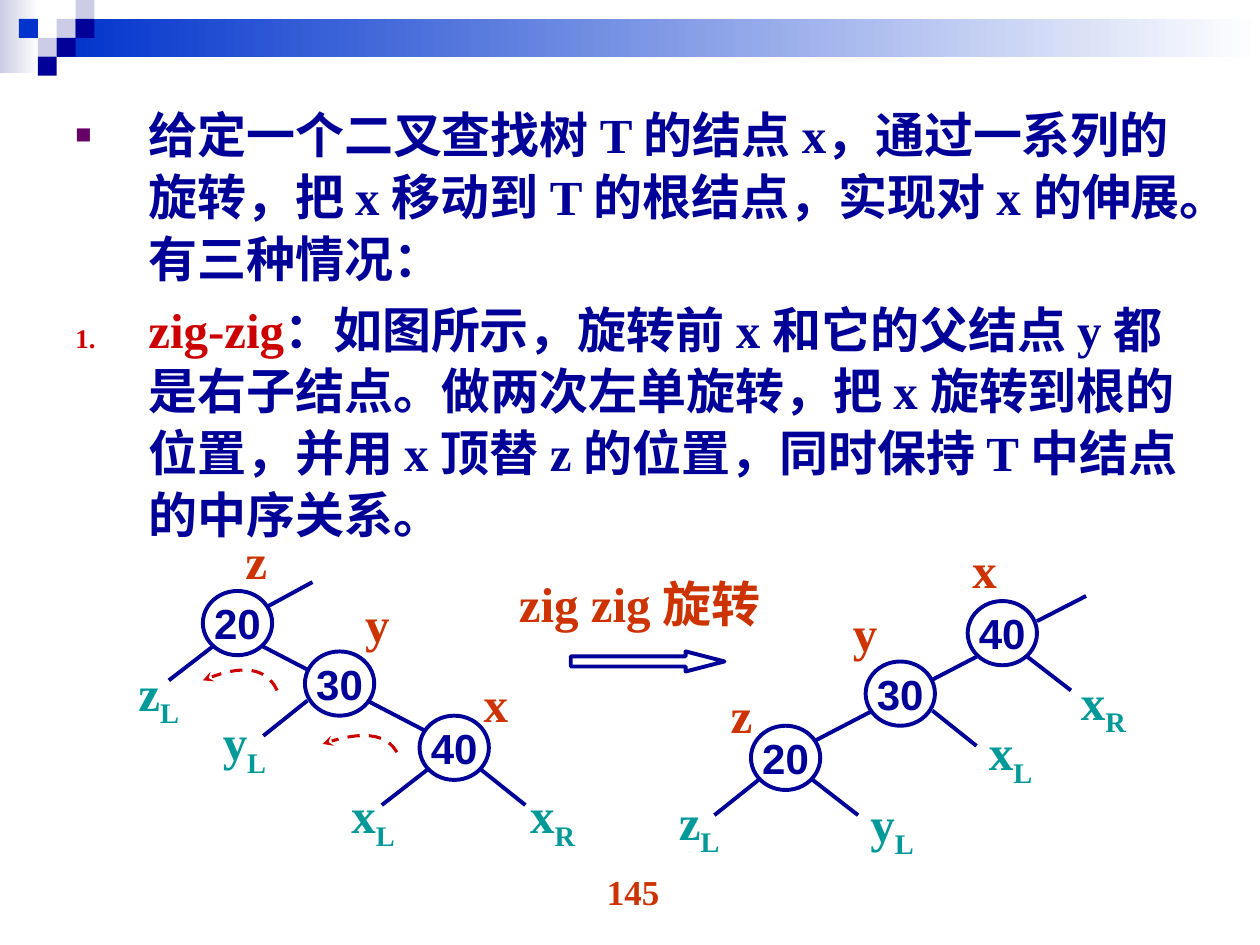
from lxml.etree import SubElement
from pptx import Presentation
from pptx.dml.color import RGBColor
from pptx.enum.dml import MSO_LINE
from pptx.enum.shapes import MSO_CONNECTOR, MSO_SHAPE
from pptx.enum.text import MSO_ANCHOR, PP_ALIGN
from pptx.oxml.ns import qn
from pptx.util import Inches, Pt

# Lengths count cells of a grid of 100 columns by 75 rows.
CELL = Inches(0.1)
NAVY, BLUE, LILAC, WHITE = "000099", "0033CC", "CCCCE6", "FFFFFF"
RED, ORANGE, TEAL, PURPLE = "CC0000", "CC3300", "009999", "660066"
SERIF, SANS = "Times New Roman", "Arial"

NODE_WIDTH, NODE_HEIGHT = 5.5, 5.1
# Offsets from the centre of the root, for a tree that leans right.
NODE_OFFSETS = [(0, 0), (8.1, 4.8), (17.2, 9.9)]
BRANCHES = [
    ((2, 1.85), (18.55, 10.45)),
    ((-1.95, 1.85), (-5.45, 4.55)),
    ((5.55, 6.15), (2.05, 8.95)),
    ((15.05, 11.65), (11.45, 14.45)),
    ((19.35, 11.65), (22.85, 14.45)),
]


def grid(*lengths):
    return [round(length * CELL) for length in lengths]


def color(hex_code):
    return RGBColor.from_string(hex_code)


def add_run(paragraph, text, size=28, font=SERIF, hex_code=NAVY, subscript=False):
    run = paragraph.add_run()
    run.text = text
    run.font.size = Pt(size)
    run.font.name = font
    run.font.bold = True
    run.font.color.rgb = color(hex_code)
    if subscript:
        run.font._element.set("baseline", "-25000")


def add_preset(slide, preset, box, fill=WHITE, fade_to=None, outline=None):
    """Add a preset shape with a plain fill, or one that fades to the right."""
    shape = slide.shapes.add_shape(preset, *grid(*box))
    shape.shadow.inherit = False
    if fade_to:
        shape.fill.gradient()
        shape.fill.gradient_angle = 0
        for stop, hex_code in zip(shape.fill.gradient_stops, (fill, fade_to)):
            stop.color.rgb = color(hex_code)
    else:
        shape.fill.solid()
        shape.fill.fore_color.rgb = color(fill)
    if outline:
        shape.line.color.rgb = color(outline)
        shape.line.width = Pt(2.25)
    else:
        shape.line.fill.background()
    return shape


def add_line(slide, start, end):
    line = slide.shapes.add_connector(MSO_CONNECTOR.STRAIGHT, *grid(*start, *end))
    line.line.color.rgb = color(NAVY)
    line.line.width = Pt(2.25)
    SubElement(line._element.spPr, qn("a:effectLst"))


def add_label(slide, text, box, subscript="", align=PP_ALIGN.LEFT, **run_format):
    frame = slide.shapes.add_textbox(*grid(*box)).text_frame
    frame.word_wrap = True
    paragraph = frame.paragraphs[0]
    paragraph.alignment = align
    add_run(paragraph, text, **run_format)
    if subscript:
        add_run(paragraph, subscript, subscript=True, **run_format)


def add_node(slide, key, center_x, center_y):
    box = (center_x - NODE_WIDTH / 2, center_y - NODE_HEIGHT / 2, NODE_WIDTH, NODE_HEIGHT)
    frame = add_preset(slide, MSO_SHAPE.OVAL, box, outline=NAVY).text_frame
    frame.margin_left = frame.margin_right = frame.margin_top = frame.margin_bottom = 0
    frame.vertical_anchor = MSO_ANCHOR.MIDDLE
    frame.word_wrap = False
    frame.paragraphs[0].alignment = PP_ALIGN.CENTER
    add_run(frame.paragraphs[0], key, size=24, font=SANS)


def add_tree(slide, root, lean, keys, stub, names, subtrees):
    """Draw a chain of three nodes; lean is 1 to the right, -1 to the left."""
    def place(offset):
        return root[0] + lean * offset[0], root[1] + offset[1]

    for start, end in BRANCHES:
        add_line(slide, place(start), place(end))
    add_line(slide, *stub)
    for key, offset in zip(keys, NODE_OFFSETS):
        add_node(slide, key, *place(offset))
    for name, left, top in names:
        add_label(slide, name, (left, top, 4, 5.7), hex_code=ORANGE)
    for name, side, left, top in subtrees:
        add_label(slide, name, (left, top, 6, 6.3), subscript=side, hex_code=TEAL)


def add_rotation_arrow(slide, left, top, height):
    """Draw a dashed arc that bends to the left, along a cubic curve."""
    controls = [(5.9, 1), (5, -0.2), (3, -0.3), (0, 0.5)]
    steps = 12
    points = []
    for step in range(steps + 1):
        t = step / steps
        weights = [(1 - t) ** 3, 3 * t * (1 - t) ** 2, 3 * t * t * (1 - t), t ** 3]
        x = sum(weight * control[0] for weight, control in zip(weights, controls))
        y = sum(weight * control[1] for weight, control in zip(weights, controls))
        points.append(tuple(grid(left + x, top + height * y)))
    builder = slide.shapes.build_freeform(*points[0])
    builder.add_line_segments(points[1:], close=False)
    arc = builder.convert_to_shape()
    arc.shadow.inherit = False
    arc.fill.background()
    arc.line.color.rgb = color(RED)
    arc.line.width = Pt(1.75)
    arc.line.dash_style = MSO_LINE.DASH
    SubElement(arc.line._get_or_add_ln(), qn("a:tailEnd"), type="stealth")


def set_bullet(paragraph, hex_code, tag, **attributes):
    properties = paragraph._element.get_or_add_pPr()
    properties.set("marL", str(Inches(0.58)))
    properties.set("indent", str(-Inches(0.58)))
    bullet_color = SubElement(properties, qn("a:buClr"))
    SubElement(bullet_color, qn("a:srgbClr"), val=hex_code)
    SubElement(properties, qn("a:buSzPct"), val="55000")
    SubElement(properties, qn("a:buFont"), typeface=SERIF)
    SubElement(properties, qn(tag), **attributes)


def add_body(slide):
    frame = slide.shapes.add_textbox(*grid(5, 7.6, 90, 52)).text_frame
    frame.word_wrap = True
    intro, case = frame.paragraphs[0], frame.add_paragraph()
    set_bullet(intro, PURPLE, "a:buChar", char="■")
    set_bullet(case, RED, "a:buAutoNum", type="arabicPeriod")
    intro.line_spacing = case.line_spacing = 1.05
    case.space_before = Pt(5.2)
    add_run(intro, "给定一个二叉查找树 T 的结点 x，通过一系列的旋转，把 x 移动到 T 的根结点，"
                   "实现对 x 的伸展。有三种情况：")
    add_run(case, "zig-zig", hex_code=RED)
    add_run(case, "：如图", font=SANS)
    add_run(case, "所示，旋转前 x 和它的父结点 y 都是右子结点。做两次左单旋转，把 x 旋转到根的位置，"
                  "并用 x 顶替 z 的位置，同时保持 T 中结点的中序关系。")


def add_banner(slide):
    add_preset(slide, MSO_SHAPE.RECTANGLE, (0, 0, 3.1, 5.8), LILAC, fade_to=WHITE)
    add_preset(slide, MSO_SHAPE.RECTANGLE, (4.5, 1.5, 95.5, 3), BLUE, fade_to=WHITE)
    squares = [(3, 1, LILAC), (4, 0, LILAC), (4, 1, NAVY), (2, 2, LILAC),
               (1, 1, BLUE), (3, 2, NAVY), (2, 3, NAVY)]
    for column, row, fill in squares:
        add_preset(slide, MSO_SHAPE.RECTANGLE, (column * 1.5, row * 1.5, 1.5, 1.5), fill)


def main():
    presentation = Presentation()
    presentation.slide_width, presentation.slide_height = grid(100, 75)
    slide = presentation.slides.add_slide(presentation.slide_layouts[6])

    add_banner(slide)
    add_label(slide, "145", (38.6, 68.6, 23.3, 5.2), align=PP_ALIGN.CENTER,
              size=20, hex_code=ORANGE)
    add_body(slide)
    add_tree(slide, (18.85, 49.45), 1, ["20", "30", "40"], ((24.8, 46.2), (21.3, 48.1)),
             [("z", 18.5, 41.6), ("y", 28, 46.6), ("x", 37.4, 53)],
             [("z", "L", 10, 52.1), ("y", "L", 16.7, 56),
              ("x", "L", 26.9, 61.8), ("x", "R", 41.1, 61.8)])
    add_tree(slide, (79.55, 50.25), -1, ["40", "30", "20"], ((86.2, 47.3), (82.3, 49.3)),
             [("x", 76.2, 42.3), ("y", 66.7, 47.3), ("z", 57, 53.8)],
             [("x", "R", 84.8, 52.8), ("x", "L", 77.5, 56.8),
              ("y", "L", 68.1, 62.5), ("z", "L", 52.9, 62.3)])
    add_rotation_arrow(slide, 16.1, 53.2, 1.6)
    add_rotation_arrow(slide, 25.6, 58.4, 1.3)
    arrow = add_preset(slide, MSO_SHAPE.RIGHT_ARROW, (45.3, 51.7, 12.2, 1.6), outline=NAVY)
    arrow.adjustments[1] = 1.93
    add_label(slide, "zig zig 旋转", (40.2, 45, 24.2, 5.7), hex_code=ORANGE)
    presentation.save("out.pptx")


if __name__ == "__main__":
    main()
